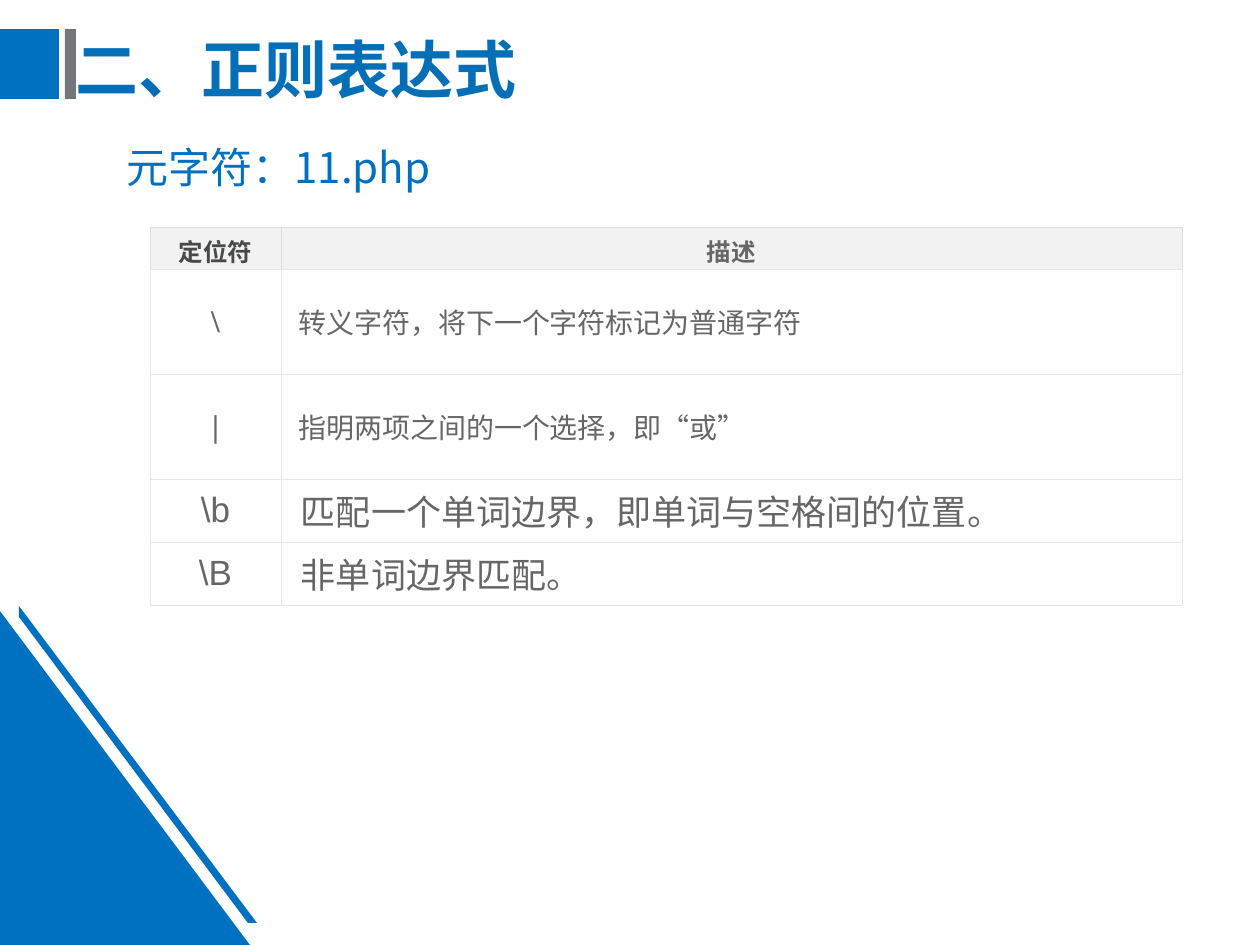
"""Build a slide listing regular expression metacharacters in a table."""
from lxml import etree
from pptx import Presentation, util as u
from pptx.dml.color import RGBColor
from pptx.enum import shapes, text
from pptx.oxml import ns

SCALE = 914400 / 126
COLORS = {"blue": "0070C0", "title": "046FB6", "bar": "73777A", "dark": "47494B",
          "body": "666666", "head": "F2F2F2", "white": "FFFFFF",
          "head_edge": "DDDDDD", "edge": "E6E6E6"}
CJK = "Noto Sans CJK SC"
ARIAL = "Arial"
TIMES = "Times New Roman"

TITLE = "二、正则表达式"
SUBTITLE = "元字符：11.php"
COLUMNS = (131, 901)
CENTER = text.PP_ALIGN.CENTER
LEFT = text.PP_ALIGN.LEFT
HEADER = {"height": 42, "inset": 11, "fill": "head", "edge": "head_edge", "cells": [
    ("定位符", dict(size=14, font="Calibri", color="dark", bold=True, align=CENTER)),
    ("描述", dict(size=14, font=ARIAL, bold=True, align=CENTER))]}
ENTRIES = [
    (105, 18, "\\", 18, TIMES, "转义字符，将下一个字符标记为普通字符", 16),
    (105, 18, "|", 18, TIMES, "指明两项之间的一个选择，即“或”", 16),
    (63, 20, "\\b", 20, ARIAL, "匹配一个单词边界，即单词与空格间的位置。", 20),
    (63, 20, "\\B", 20, ARIAL, "非单词边界匹配。", 20),
]
ROWS = [HEADER] + [
    {"height": height, "inset": inset, "fill": "white", "edge": "edge", "cells": [
        (symbol, dict(size=symbol_size, font=font, bold=font == TIMES, align=CENTER)),
        (meaning, dict(size=meaning_size, align=LEFT))]}
    for height, inset, symbol, symbol_size, font, meaning, meaning_size in ENTRIES]
BARS = [
    (shapes.MSO_SHAPE.RECTANGLE, (0, 29, 59, 70), "blue"),
    (shapes.MSO_SHAPE.RECTANGLE, (65, 29, 11, 70), "bar"),
    (shapes.MSO_SHAPE.RIGHT_TRIANGLE, (0, 611, 250, 334), "blue"),
]
STRIPE = [(19, 606), (257, 923), (248, 923), (19, 617)]


def px(length):
    return u.Emu(round(length * SCALE))


def rgb(name):
    return RGBColor.from_string(COLORS[name])


def write(frame, words, size, font=ARIAL, color="body", bold=False, align=LEFT):
    frame.word_wrap = True
    paragraph = frame.paragraphs[0]
    paragraph.alignment = align
    run = paragraph.add_run()
    run.text = words
    run.font.size = u.Pt(size)
    run.font.name = font
    run.font.bold = bold
    run.font.color.rgb = rgb(color)
    east_asian = etree.Element(ns.qn("a:ea"), typeface=CJK)
    run.font._element.find(ns.qn("a:latin")).addnext(east_asian)
    return paragraph


def paint(shape, color):
    shape.shadow.inherit = False
    shape.fill.solid()
    shape.fill.fore_color.rgb = rgb(color)
    shape.line.fill.background()


def add_edges(cell, color):
    properties = cell._tc.get_or_add_tcPr()
    for index, side in enumerate("LRTB"):
        line = etree.Element(ns.qn(f"a:ln{side}"), w=str(u.Pt(0.45)))
        fill = etree.SubElement(line, ns.qn("a:solidFill"))
        etree.SubElement(fill, ns.qn("a:srgbClr"), val=COLORS[color])
        properties.insert(index, line)


def add_decoration(slide):
    for kind, box, color in BARS:
        paint(slide.shapes.add_shape(kind, *map(px, box)), color)
    outline = slide.shapes.build_freeform(*STRIPE[0], scale=SCALE)
    outline.add_line_segments(STRIPE[1:], close=True)
    paint(outline.convert_to_shape(), "blue")


def add_headings(slide):
    title = slide.shapes.add_textbox(*map(px, (63, 16, 1040, 114))).text_frame
    title.vertical_anchor = text.MSO_ANCHOR.MIDDLE
    write(title, TITLE, 36, CJK, "title", bold=True).line_spacing = 0.9
    subtitle = slide.shapes.add_textbox(*map(px, (68, 135, 1134, 707))).text_frame
    paragraph = write(subtitle, SUBTITLE, 24, CJK, "blue")
    paragraph.space_before = u.Pt(6)
    indents = paragraph._p.get_or_add_pPr()
    indents.set("marL", str(px(49)))
    indents.set("indent", str(px(-3)))


def add_symbols(slide):
    height = sum(row["height"] for row in ROWS)
    box = map(px, (150, 227, sum(COLUMNS), height))
    symbols = slide.shapes.add_table(len(ROWS), len(COLUMNS), *box).table
    symbols.first_row = symbols.horz_banding = False
    for column, width in zip(symbols.columns, COLUMNS):
        column.width = px(width)
    for line, row in zip(symbols.rows, ROWS):
        line.height = px(row["height"])
        for cell, (words, style) in zip(line.cells, row["cells"]):
            cell.vertical_anchor = text.MSO_ANCHOR.MIDDLE
            cell.margin_left = cell.margin_right = px(row["inset"])
            cell.margin_top = cell.margin_bottom = px(6)
            cell.fill.solid()
            cell.fill.fore_color.rgb = rgb(row["fill"])
            add_edges(cell, row["edge"])
            write(cell.text_frame, words, **style)


def main():
    deck = Presentation()
    deck.slide_width, deck.slide_height = px(1260), px(945)
    slide = deck.slides.add_slide(deck.slide_layouts[6])
    add_decoration(slide)
    add_headings(slide)
    add_symbols(slide)
    deck.save("out.pptx")


if __name__ == "__main__":
    main()
